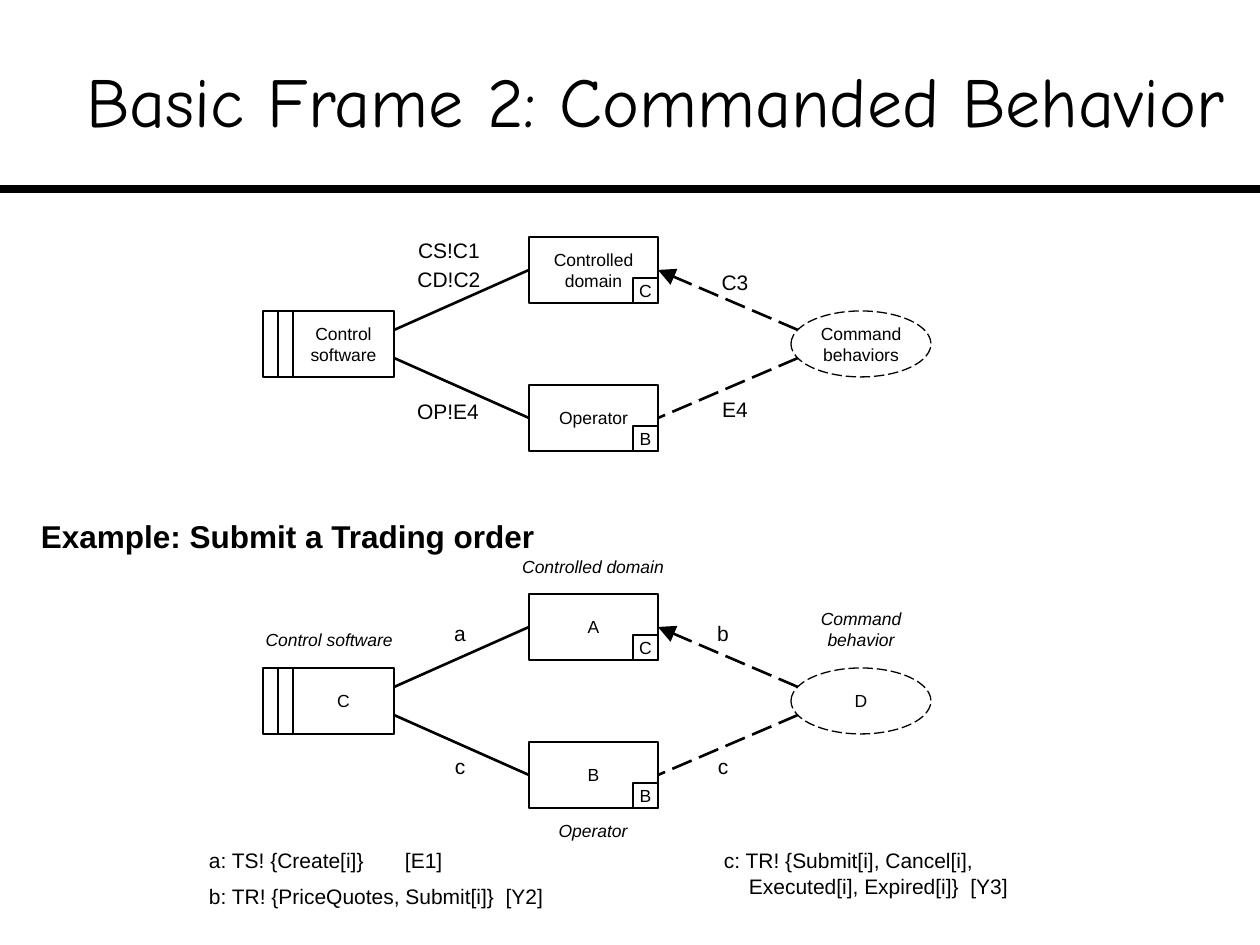
"""Build the slide on the commanded behavior problem frame."""
from dataclasses import dataclass

from lxml import etree
from pptx import Presentation
from pptx import util as u
from pptx.dml.color import RGBColor
from pptx.enum import dml, shapes, text
from pptx.oxml.ns import qn


@dataclass(frozen=True)
class Theme:
    """Colours, fonts and point sizes."""
    ink: RGBColor = RGBColor(0, 0, 0)
    paper: RGBColor = RGBColor(255, 255, 255)
    title_font: str = "Comic Neue"
    font: str = "Arial"
    title: int = 40
    heading: int = 18
    label: int = 12
    small: int = 10
    outline: float = 0.75
    link: float = 1.5
    rule: float = 4.5


THEME = Theme()
LEFT, CENTER = text.PP_ALIGN.LEFT, text.PP_ALIGN.CENTER
DASH = dml.MSO_LINE.LONG_DASH
RECT, OVAL = shapes.MSO_SHAPE.RECTANGLE, shapes.MSO_SHAPE.OVAL
BOX_LEFT, BOX_W, BOX_H = 529, 129, 66
RISE, TAG, PORT = 74, 25, 14
CONTROL_LEFT, BAR_W, CONTROL_W = 263, 30, 101
CONTROL_RIGHT = CONTROL_LEFT + BAR_W + CONTROL_W


def px(n):
    """Turn pixels at 126 to the inch into EMU."""
    return round(n * u.Inches(1) / 126)


def write(tf, lines, size, align=CENTER, font=THEME.font, bold=False, italic=False):
    """Set the text of a frame and format its runs."""
    tf.text = lines
    for p in tf.paragraphs:
        p.alignment = align
        for r in p.runs:
            f = r.font
            f.name, f.size, f.bold, f.italic = font, u.Pt(size), bold, italic
            f.color.rgb = THEME.ink


def inset(tf, across, down):
    """Set the side and the top and bottom margins of a frame."""
    tf.margin_left = tf.margin_right = px(across)
    tf.margin_top = tf.margin_bottom = px(down)


def add_label(s, lines, x, y, w, h, size=THEME.label, align=CENTER, **style):
    """Add unwrapped text that sizes its box and return its frame."""
    tf = s.shapes.add_textbox(px(x), px(y), px(w), px(h)).text_frame
    inset(tf, 1, 0)
    tf.word_wrap = False
    tf.auto_size = text.MSO_AUTO_SIZE.SHAPE_TO_FIT_TEXT
    write(tf, lines, size, align, **style)
    return tf


def add_node(s, kind, x, y, w, h, name="", margins=(13, 6), dash=None):
    """Add an outlined shape with centred text."""
    sp = s.shapes.add_shape(kind, px(x), px(y), px(w), px(h))
    sp.shadow.inherit = False
    sp.fill.solid()
    sp.fill.fore_color.rgb = THEME.paper
    sp.line.color.rgb = THEME.ink
    sp.line.width = u.Pt(THEME.outline)
    sp.line.dash_style = dash
    tf = sp.text_frame
    tf.vertical_anchor = text.MSO_ANCHOR.MIDDLE
    tf.word_wrap = True
    inset(tf, *margins)
    if name:
        write(tf, name, THEME.small)
    return sp


def add_line(s, x1, y1, x2, y2, width, dash=None, arrow=False):
    """Add a straight line, with an arrowhead at its end if wanted."""
    c = s.shapes.add_connector(shapes.MSO_CONNECTOR.STRAIGHT, px(x1), px(y1), px(x2), px(y2))
    c.line.color.rgb = THEME.ink
    c.line.width = u.Pt(width)
    c.line.dash_style = dash
    if arrow:
        ln = c.line._get_or_add_ln()
        etree.SubElement(ln, qn("a:tailEnd"), type="triangle", w="lg", len="lg")
    etree.SubElement(c._element.spPr, qn("a:effectLst"))
    return c


def add_domain(s, y, name, tag):
    """Add a domain box with its type tag in the corner."""
    box = add_node(s, RECT, BOX_LEFT, y, BOX_W, BOX_H, name)
    add_node(s, RECT, BOX_LEFT + BOX_W - TAG, y + BOX_H - TAG, TAG, TAG, tag, (0, 0))
    return box


def add_control(s, y, name):
    """Add the machine box with its double bar."""
    add_node(s, RECT, CONTROL_LEFT + BAR_W, y, CONTROL_W, BOX_H, name)
    add_node(s, RECT, CONTROL_LEFT, y, BAR_W, BOX_H)
    bar = CONTROL_LEFT + BAR_W // 2
    add_line(s, bar, y, bar, y + BOX_H, THEME.outline)


def add_frame(s, mid, control, domains, requirement):
    """Add one frame diagram centred on a height."""
    top = mid - BOX_H // 2
    add_control(s, top, control)
    for side, name, tag in zip((-1, 1), domains, "CB"):
        box = add_domain(s, top + side * RISE, name, tag)
        port, end = mid + side * PORT, mid + side * RISE
        link = add_line(s, CONTROL_RIGHT, port, BOX_LEFT, end, THEME.link)
        link.end_connect(box, 1)
        link = add_line(s, 798, port, BOX_LEFT + BOX_W, end, THEME.link, DASH, side < 0)
        link.end_connect(box, 3)
    add_node(s, OVAL, 791, top, 140, BOX_H, requirement, (0, 0), DASH)


def add_title(s):
    """Add the title and the rule under it."""
    add_line(s, 0, 189, 1260, 189, THEME.rule)
    tf = add_label(s, "Basic Frame 2: Commanded Behavior", 53, 21, 1205, 158,
                   THEME.title, font=THEME.title_font)
    inset(tf, 0, 6)
    tf.word_wrap = True
    tf.auto_size = text.MSO_AUTO_SIZE.NONE
    tf.vertical_anchor = text.MSO_ANCHOR.MIDDLE


def add_legend(s):
    """Add the key to the interfaces of the example."""
    tf = add_label(s, "a: TS! {Create[i]}\t[E1]", 208, 848, 236, 25, align=LEFT)
    tabs = etree.SubElement(tf.paragraphs[0]._p.get_or_add_pPr(), qn("a:tabLst"))
    etree.SubElement(tabs, qn("a:tab"), pos=str(px(196)), algn="l")
    add_label(s, "b: TR! {PriceQuotes, Submit[i]}  [Y2]", 208, 884, 338, 25, align=LEFT)
    tf = add_label(s, "c: TR! {Submit[i], Cancel[i],\nExecuted[i], Expired[i]}  [Y3]",
                   723, 848, 287, 50, align=LEFT)
    tf.paragraphs[1]._p.get_or_add_pPr().set("marL", str(px(25)))


def main():
    """Build and save the slide."""
    prs = Presentation()
    prs.slide_width, prs.slide_height = px(1260), px(945)
    s = prs.slides.add_slide(prs.slide_layouts[6])
    add_title(s)
    add_frame(s, 344, "Control software", ("Controlled domain", "Operator"), "Command behaviors")
    add_frame(s, 701, "C", "AB", "D")
    for name, x, y, w in (
        ("CS!C1", 416, 238, 66), ("CD!C2", 416, 267, 66), ("OP!E4", 415, 399, 66),
        ("C3", 719, 270, 32), ("E4", 719, 397, 32),
        ("a", 452, 621, 16), ("b", 715, 621, 16), ("c", 452, 754, 16), ("c", 715, 754, 16),
    ):
        add_label(s, name, x, y, w, 25)
    for name, x, y, w, h in (
        ("Control software", 262, 629, 134, 21), ("Controlled domain", 518, 556, 150, 21),
        ("Command\nbehavior", 818, 608, 86, 42), ("Operator", 556, 820, 74, 21),
    ):
        add_label(s, name, x, y, w, h, THEME.small, italic=True)
    add_label(s, "Example: Submit a Trading order", 40, 517, 497, 38, THEME.heading, LEFT, bold=True)
    add_legend(s)
    prs.save("out.pptx")


if __name__ == "__main__":
    main()
